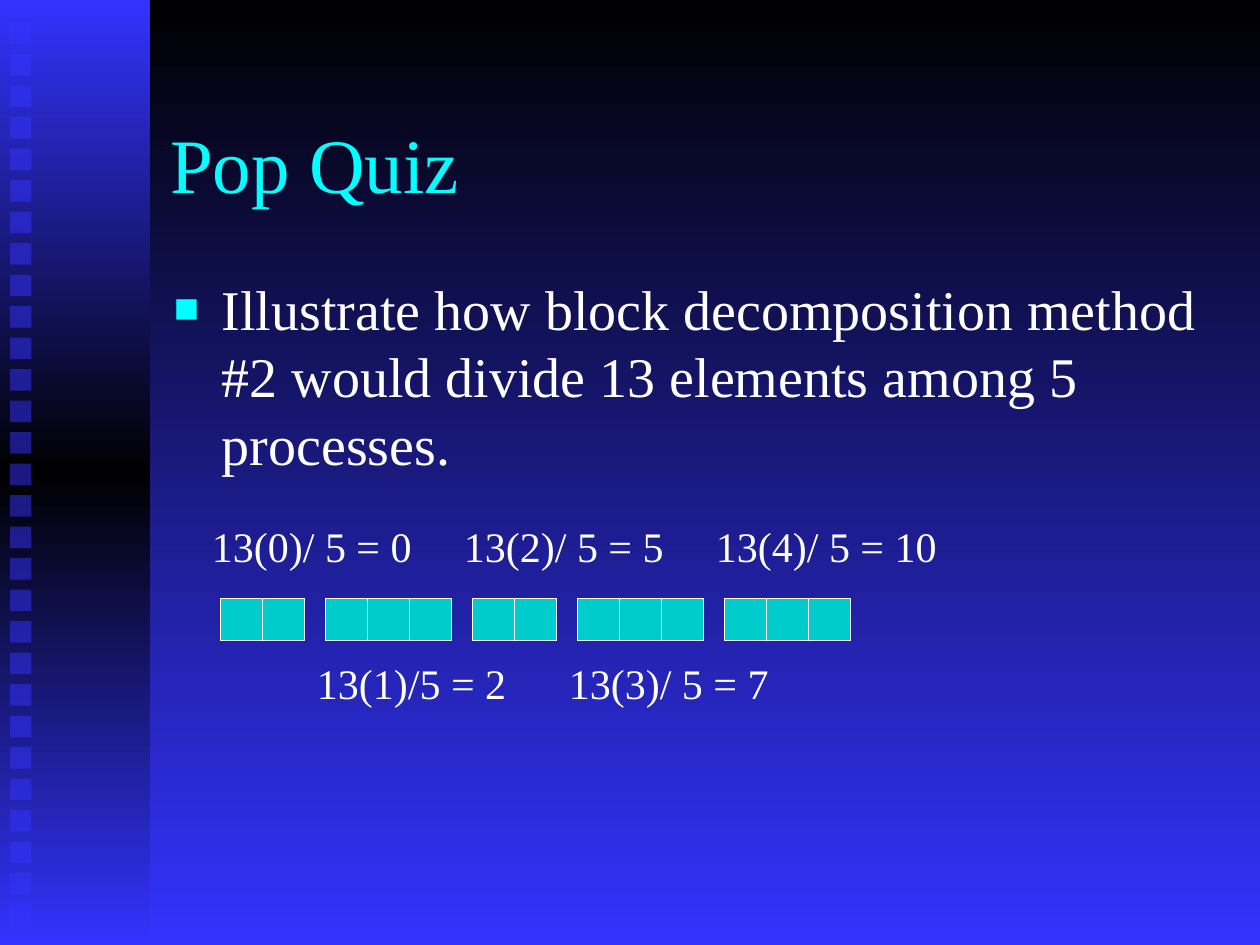
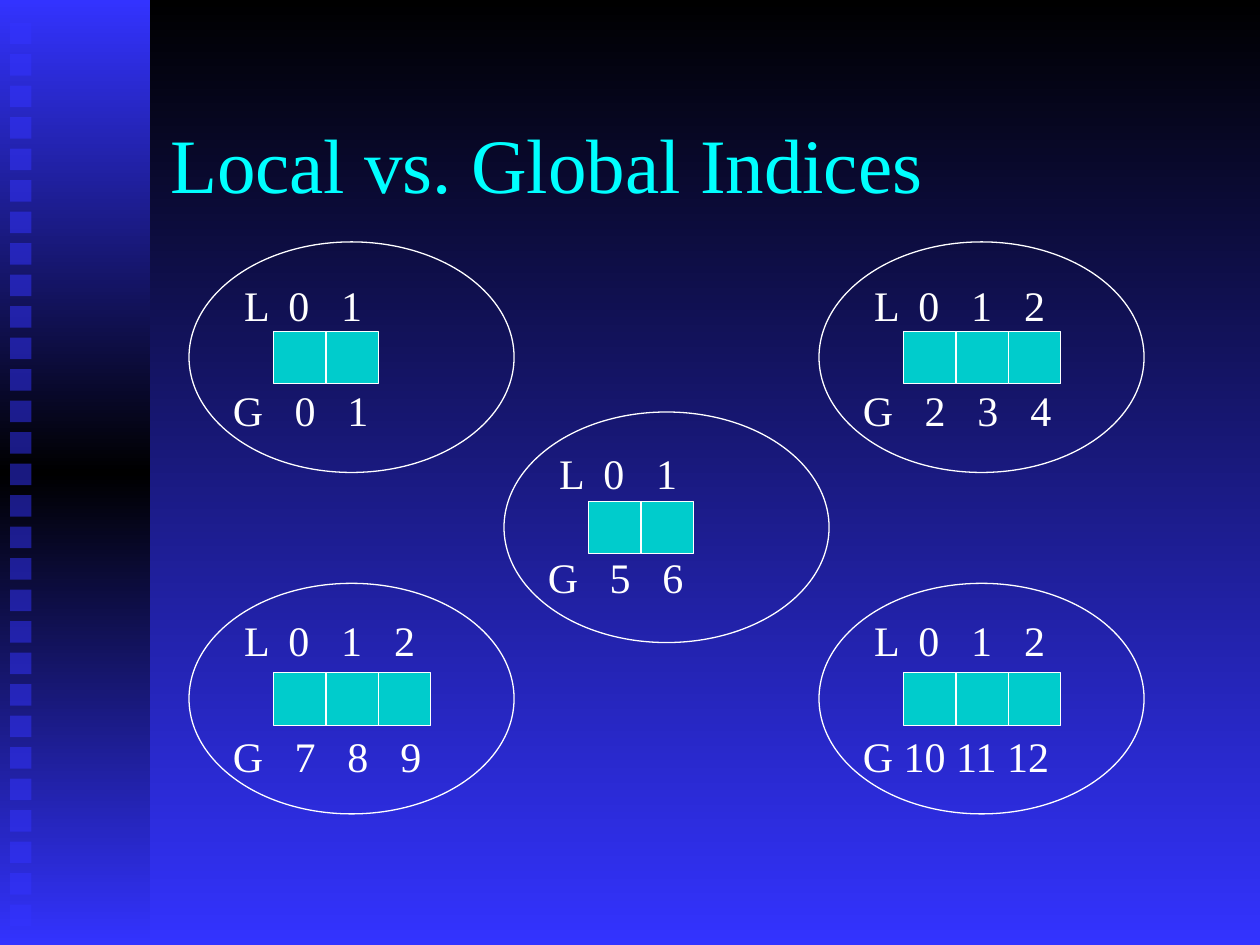
from copy import deepcopy

from lxml.etree import SubElement
from pptx import Presentation
from pptx.dml.color import RGBColor
from pptx.enum.shapes import MSO_SHAPE
from pptx.enum.text import MSO_ANCHOR, MSO_AUTO_SIZE, PP_ALIGN
from pptx.oxml.ns import qn
from pptx.util import Inches, Pt

RECTANGLE, OVAL = MSO_SHAPE.RECTANGLE, MSO_SHAPE.OVAL
MIDDLE, LEFT, NO_FIT = MSO_ANCHOR.MIDDLE, PP_ALIGN.LEFT, MSO_AUTO_SIZE.NONE

BLACK = RGBColor(0x00, 0x00, 0x00)
BLUE = RGBColor(0x33, 0x33, 0xFF)
CYAN = RGBColor(0x00, 0xFF, 0xFF)
TEAL = RGBColor(0x00, 0xCC, 0xCC)
WHITE = RGBColor(0xFF, 0xFF, 0xFF)
FONT = "Times New Roman"

TITLE_ONLY, TITLE_AND_BODY = 5, 1
ELEMENTS, PROCESSES = 13, 5
STARTS = [ELEMENTS * process // PROCESSES for process in range(PROCESSES + 1)]
BLOCKS = [range(first, end) for first, end in zip(STARTS, STARTS[1:])]


def place(shape, left, top, width, height):
    shape.left, shape.top = Inches(left), Inches(top)
    shape.width, shape.height = Inches(width), Inches(height)


def style(para, size, color):
    para.alignment = LEFT
    para.font.name = FONT
    para.font.size = Pt(size)
    para.font.color.rgb = color


def add_shape(page, kind, left, top, width, height, fill=None, line=None):
    shape = page.shapes.add_shape(
        kind, Inches(left), Inches(top), Inches(width), Inches(height))
    shape.shadow.inherit = False
    if fill is None:
        shape.fill.background()
    else:
        shape.fill.solid()
        shape.fill.fore_color.rgb = fill
    if line is None:
        shape.line.fill.background()
    else:
        shape.line.color.rgb = line
        shape.line.width = Pt(0.75)
    return shape


def add_label(page, text, left, top, width, tabs=()):
    label = page.shapes.add_textbox(
        Inches(left), Inches(top), Inches(width), Inches(0.5))
    label.text_frame.word_wrap = True
    para = label.text_frame.paragraphs[0]
    para.text = text
    if tabs:
        tab_list = SubElement(para._p.get_or_add_pPr(), qn("a:tabLst"))
        for position in tabs:
            SubElement(tab_list, qn("a:tab"), pos=str(Inches(position)), algn="l")
    style(para, 24, WHITE)


def add_cells(page, count, left, top, size):
    for index in range(count):
        add_shape(page, RECTANGLE, left + index * size, top, size, size, TEAL, WHITE)


def paint_gradient(fill, first, last):
    fill.gradient()
    fill.gradient_angle = 270
    for stop, color, position in zip(fill.gradient_stops, (first, last), (0, 1)):
        stop.color.rgb = color
        stop.position = position


def dress_master(deck, page):
    master = deck.slide_master
    paint_gradient(master.background.fill, BLACK, BLUE)

    band = add_shape(page, RECTANGLE, 0, 0, 1.19, 7.5)
    paint_gradient(band.fill, BLUE, BLACK)
    band.fill.gradient_stops[1].position = 0.5
    stops = band.element.find(".//" + qn("a:gsLst"))
    stops.append(deepcopy(stops[0]))
    stops[2].set("pos", "100000")

    squares = [add_shape(page, RECTANGLE, 0.08, 0.18 + row * 0.25, 0.17, 0.17, BLUE)
               for row in range(29)]
    for square in squares:
        color = square.element.spPr.find(".//" + qn("a:srgbClr"))
        SubElement(color, qn("a:alpha"), val="50000")
    for shape in [band, *squares]:
        master.shapes.element.append(shape.element)


def add_page(deck, layout, title):
    page = deck.slides.add_slide(deck.slide_layouts[layout])
    heading = page.shapes.title
    place(heading, 1.25, 0.67, 8.5, 1.25)
    frame = heading.text_frame
    frame.text = title
    frame.auto_size = NO_FIT
    frame.vertical_anchor = MIDDLE
    style(frame.paragraphs[0], 44, CYAN)
    return page


def fill_body(body, text):
    place(body, 1.28, 2.13, 8.5, 4.5)
    frame = body.text_frame
    frame.text = text
    frame.auto_size = NO_FIT
    para = frame.paragraphs[0]
    props = para._p.get_or_add_pPr()
    props.set("marL", str(Inches(0.38)))
    props.set("indent", str(-Inches(0.38)))
    bullet_color = SubElement(props, qn("a:buClr"))
    SubElement(bullet_color, qn("a:srgbClr"), val=str(CYAN))
    SubElement(props, qn("a:buSzPct"), val="75000")
    SubElement(props, qn("a:buFont"), typeface=FONT)
    SubElement(props, qn("a:buChar"), char="■")
    para.space_before = Pt(0)
    style(para, 32, WHITE)


def add_block_row(page, left, top):
    cell, gap = 1 / 3, 1 / 6
    formulas = ["13(0)/ 5 = 0", "13(1)/5 = 2", "13(2)/ 5 = 5",
                "13(3)/ 5 = 7", "13(4)/ 5 = 10"]
    for process, (block, formula) in enumerate(zip(BLOCKS, formulas)):
        block_left = left + block.start * cell + process * gap
        add_cells(page, len(block), block_left, top, cell)
        label_top = top + 0.42 if process % 2 else top - 0.67
        add_label(page, formula, block_left - gap, label_top, 2)


def add_process(page, block, left, top, local_top, global_top):
    add_cells(page, len(block), left + 0.67, top + 0.71, 5 / 12)
    add_shape(page, OVAL, left, top, 2.58, 1.83, line=WHITE)
    local_text = "\t".join(["L", *map(str, range(len(block)))])
    separator = " " if block.start >= 10 else "\t"
    global_text = separator.join(["G", *map(str, block)])
    add_label(page, local_text, left + 0.34, top + local_top, 1.9, (0.35, 0.77, 1.19))
    add_label(page, global_text, left + 0.25, top + global_top, 1.9, (0.49, 0.91, 1.33))


def build_quiz(deck):
    page = add_page(deck, TITLE_AND_BODY, "Pop Quiz")
    fill_body(page.placeholders[1],
              "Illustrate how block decomposition method #2 would divide "
              "13 elements among 5 processes.")
    add_block_row(page, 1.75, 4.75)
    return page


def build_indices(deck):
    page = add_page(deck, TITLE_ONLY, "Local vs. Global Indices")
    upper, center, lower = (1.92, 0.25, 1.08), (3.27, 0.23, 1.06), (4.63, 0.2, 1.12)
    spots = [(1.5, upper), (6.5, upper), (4, center), (1.5, lower), (6.5, lower)]
    for block, (left, tops) in zip(BLOCKS, spots):
        add_process(page, block, left, *tops)


def main():
    deck = Presentation()
    deck.slide_width, deck.slide_height = Inches(10), Inches(7.5)
    dress_master(deck, build_quiz(deck))
    build_indices(deck)
    deck.save("out.pptx")


if __name__ == "__main__":
    main()
